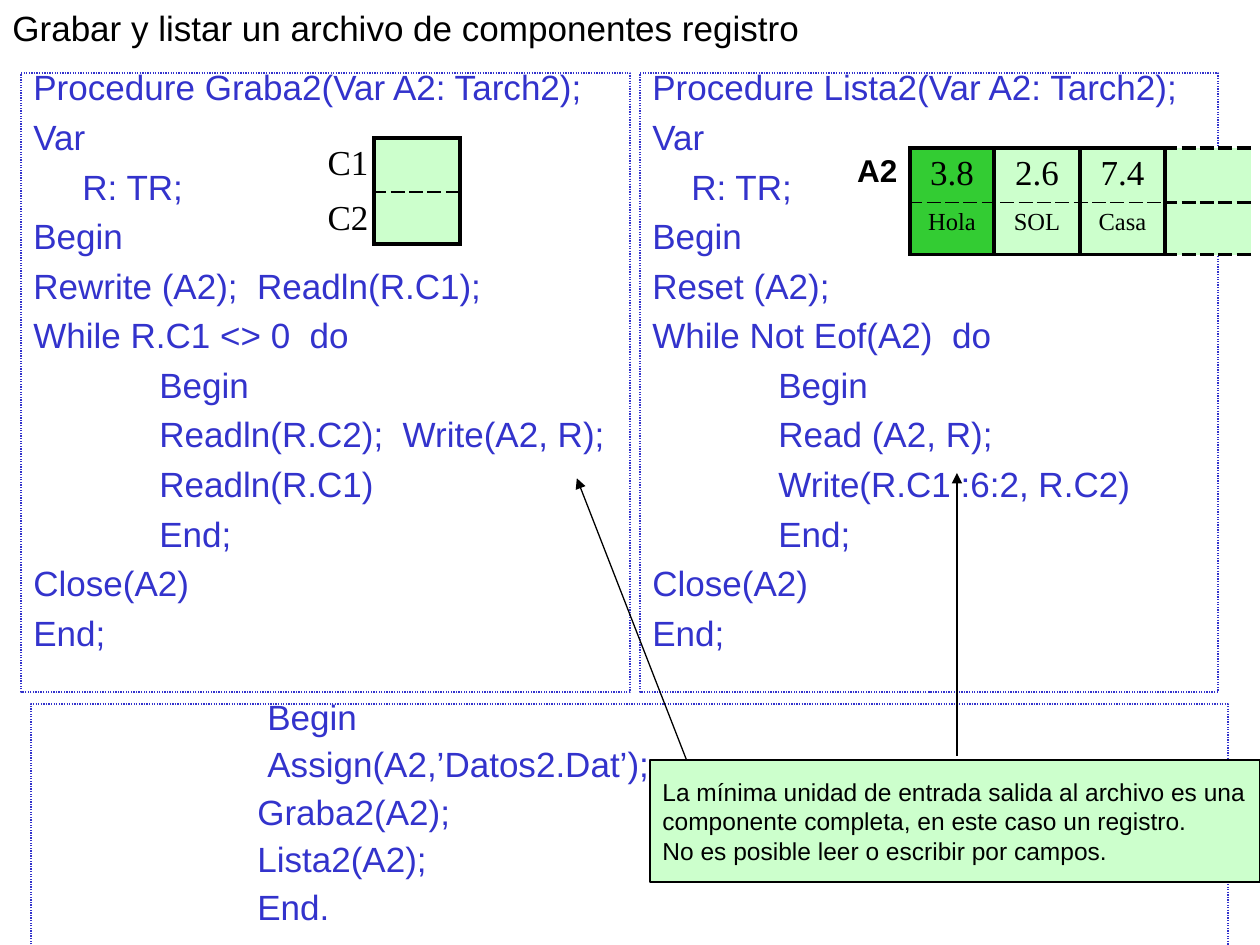
from dataclasses import dataclass

from lxml.etree import SubElement
from pptx import Presentation
from pptx.dml.color import RGBColor
from pptx.enum.dml import MSO_LINE_DASH_STYLE as Dash
from pptx.enum.shapes import MSO_CONNECTOR as Connector, MSO_SHAPE as Shape
from pptx.enum.text import MSO_ANCHOR as Anchor, PP_ALIGN as Align
from pptx.oxml.ns import qn
from pptx.util import Emu, Pt


@dataclass(frozen=True)
class Theme:
    black: str = "000000"
    code: str = "3333CC"
    pale: str = "CCFFCC"
    current: str = "33CC33"
    sans: str = "Arial"
    serif: str = "Times New Roman"
    body: int = 20
    label: int = 18
    small: int = 14


THEME = Theme()
THICK = (2.25, None)
THICK_DASH = (2.25, "sysDash")
THIN_DASH = (1, "sysDash")
UPPER = {"L": THICK, "R": THICK, "T": THICK, "B": THIN_DASH}
LOWER = {"L": THICK, "R": THICK, "T": THIN_DASH, "B": THICK}
OPEN_END = {"L": THICK, "T": THICK_DASH, "B": THICK_DASH}


def px(length):
    return Emu(round(length * 914400 / 126))


def rgb(color):
    return RGBColor.from_string(color)


@dataclass
class Cell:
    text: str = ""
    fill: str = ""
    borders: dict = None
    size: int = THEME.body
    font: str = THEME.serif
    bold: bool = False
    align: Align = Align.CENTER


class SlideBuilder:
    def __init__(self, slide, theme):
        self.slide = slide
        self.theme = theme

    def add_text(self, paragraph, text, size, color, font=None, bold=False):
        run = paragraph.add_run()
        run.text = text
        run.font.size = Pt(size)
        run.font.name = font or self.theme.sans
        run.font.bold = bold
        run.font.color.rgb = rgb(color)

    def paragraphs(self, frame, count):
        return [frame.paragraphs[0]] + [frame.add_paragraph() for _ in range(count - 1)]

    def title(self, text, box):
        frame = self.slide.shapes.add_textbox(*map(px, box)).text_frame
        frame.word_wrap = True
        self.add_text(frame.paragraphs[0], text, self.theme.body, self.theme.black)

    def code_box(self, lines, box, line_spacing):
        """Dotted box of (indent, text) code lines."""
        shape = self.slide.shapes.add_shape(Shape.RECTANGLE, *map(px, box))
        shape.shadow.inherit = False
        shape.fill.background()
        shape.line.color.rgb = rgb(self.theme.code)
        shape.line.width = Pt(0.75)
        shape.line.dash_style = Dash.ROUND_DOT
        frame = shape.text_frame
        frame.word_wrap = True
        frame.vertical_anchor = Anchor.TOP
        for paragraph, (indent, text) in zip(self.paragraphs(frame, len(lines)), lines):
            paragraph.alignment = Align.LEFT
            paragraph.line_spacing = line_spacing
            paragraph.space_before = Pt(12.7)
            paragraph._p.get_or_add_pPr().set("marL", str(px(indent)))
            self.add_text(paragraph, text, self.theme.body, self.theme.code)

    def arrowhead(self, shape, end):
        SubElement(shape.line._get_or_add_ln(), qn(f"a:{end}"), type="triangle")

    def callout(self, lines, box, adjustments):
        shape = self.slide.shapes.add_shape(Shape.LINE_CALLOUT_1, *map(px, box))
        for index, value in enumerate(adjustments):
            shape.adjustments[index] = value
        shape.shadow.inherit = False
        shape.fill.solid()
        shape.fill.fore_color.rgb = rgb(self.theme.pale)
        shape.line.color.rgb = rgb(self.theme.black)
        shape.line.width = Pt(0.75)
        self.arrowhead(shape, "tailEnd")
        frame = shape.text_frame
        frame.word_wrap = True
        frame.vertical_anchor = Anchor.MIDDLE
        for paragraph, text in zip(self.paragraphs(frame, len(lines)), lines):
            paragraph.alignment = Align.JUSTIFY
            self.add_text(paragraph, text, self.theme.small, self.theme.black)

    def arrow(self, tip, start):
        line = self.slide.shapes.add_connector(Connector.STRAIGHT, *map(px, tip + start))
        line.line.color.rgb = rgb(self.theme.black)
        line.line.width = Pt(0.75)
        self.arrowhead(line, "headEnd")
        SubElement(line._element.spPr, qn("a:effectLst"))

    def borders(self, cell, sides):
        properties = cell._tc.get_or_add_tcPr()
        for side in "LRTB":
            line = SubElement(properties, qn(f"a:ln{side}"))
            if side not in sides:
                SubElement(line, qn("a:noFill"))
                continue
            width, dash = sides[side]
            line.set("w", str(Pt(width)))
            fill = SubElement(line, qn("a:solidFill"))
            SubElement(fill, qn("a:srgbClr"), val=self.theme.black)
            if dash:
                SubElement(line, qn("a:prstDash"), val=dash)

    def table(self, rows, left, top, widths, heights):
        box = (left, top, sum(widths), sum(heights))
        table = self.slide.shapes.add_table(len(rows), len(widths), *map(px, box)).table
        table.first_row = table.horz_banding = False
        for column, width in zip(table.columns, widths):
            column.width = px(width)
        for row, height, contents in zip(table.rows, heights, rows):
            row.height = px(height)
            for cell, content in zip(row.cells, contents):
                self.borders(cell, content.borders or {})
                if content.fill:
                    cell.fill.solid()
                    cell.fill.fore_color.rgb = rgb(content.fill)
                else:
                    cell.fill.background()
                if content.text:
                    paragraph = cell.text_frame.paragraphs[0]
                    paragraph.alignment = content.align
                    self.add_text(paragraph, content.text, content.size,
                                  self.theme.black, content.font, content.bold)


def main():
    presentation = Presentation()
    presentation.slide_width, presentation.slide_height = px(1260), px(945)
    slide = presentation.slides.add_slide(presentation.slide_layouts[6])
    builder = SlideBuilder(slide, THEME)

    builder.title("Grabar y listar un archivo de componentes registro", (0, 0, 1228, 55))

    block = 126
    builder.code_box([
        (0, "Procedure Graba2(Var A2: Tarch2);"), (0, "Var"), (49, "R: TR;"), (0, "Begin"),
        (0, "Rewrite (A2);  Readln(R.C1);"), (0, "While R.C1 <> 0  do"),
        (block, "Begin"), (block, "Readln(R.C2);  Write(A2, R);"),
        (block, "Readln(R.C1)"), (block, "End;"), (0, "Close(A2)"), (0, "End;"),
    ], (21, 73, 609, 619), 0.65)
    builder.code_box([
        (0, "Procedure Lista2(Var A2: Tarch2);"), (0, "Var"), (39, "R: TR;"), (0, "Begin"),
        (0, "Reset (A2);"), (0, "While Not Eof(A2)  do"),
        (block, "Begin"), (block, "Read (A2, R);"),
        (block, "Write(R.C1 :6:2, R.C2)"), (block, "End;"), (0, "Close(A2)"), (0, "End;"),
    ], (640, 73, 578, 619), 0.65)
    builder.code_box([
        (224, "Begin"), (224, "Assign(A2,’Datos2.Dat’);"), (214, "Graba2(A2);"),
        (214, "Lista2(A2);"), (214, "End."),
    ], (31, 704, 1197, 243), 0.6)

    builder.callout([
        "La mínima unidad de entrada salida al archivo es una",
        "componente completa, en este caso un registro.",
        "No es posible leer o escribir por campos.",
    ], (650, 760, 610, 122), (0, 0.06, -2.31, -0.12))
    builder.arrow((957, 473), (957, 756))

    heights = (54, 52)
    fills = (THEME.current, THEME.pale, THEME.pale)
    open_cell = Cell(fill=THEME.pale, borders=OPEN_END)
    label = Cell("A2", borders={"R": THICK}, size=THEME.label, font=THEME.sans,
                 bold=True, align=Align.RIGHT)
    numbers = [Cell(text, fill, UPPER) for text, fill in zip(("3.8", "2.6", "7.4"), fills)]
    words = [Cell(text, fill, LOWER, THEME.small)
             for text, fill in zip(("Hola", "SOL", "Casa"), fills)]
    builder.table([[label, *numbers, open_cell],
                   [Cell(borders={"R": THICK}), *words, open_cell]],
                  819, 148, (91, 84, 86, 85, 86), heights)
    builder.table([[Cell(fill=THEME.pale, borders=UPPER)],
                   [Cell(fill=THEME.pale, borders=LOWER)]], 374, 138, (86,), heights)
    builder.table([[Cell("C1")], [Cell("C2")]], 305, 138, (86,), heights)

    presentation.save("out.pptx")


if __name__ == "__main__":
    main()
